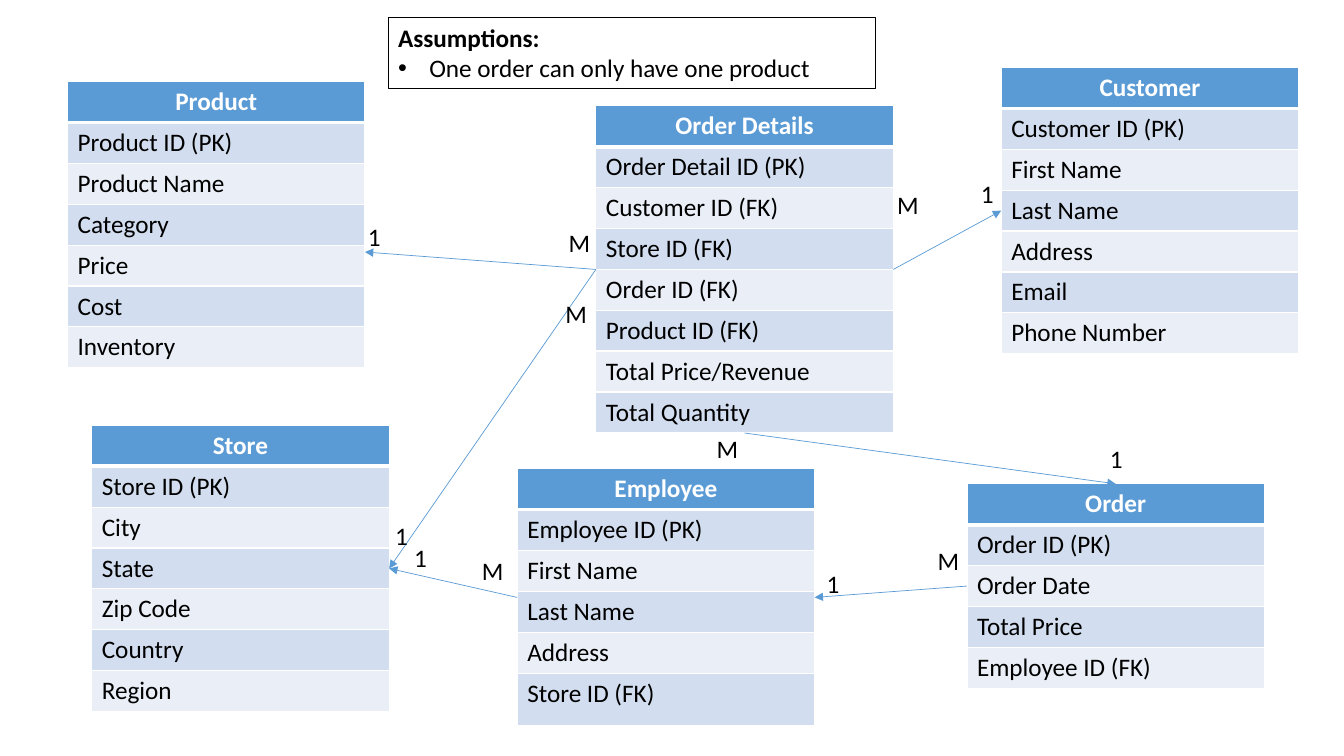
from lxml.etree import SubElement
from pptx import Presentation
from pptx.dml.color import RGBColor
from pptx.enum.shapes import MSO_CONNECTOR, MSO_SHAPE
from pptx.enum.text import MSO_ANCHOR, MSO_AUTO_SIZE, PP_ALIGN
from pptx.oxml import parse_xml
from pptx.oxml.ns import nsdecls, qn
from pptx.util import Inches, Pt

# Content: entity -> (left, top, fields)
ENTITIES = {
    "Product": (0.67, 0.81, ["Product ID (PK)", "Product Name", "Category",
                             "Price", "Cost", "Inventory"]),
    "Customer": (9.93, 0.67, ["Customer ID (PK)", "First Name", "Last Name",
                              "Address", "Email", "Phone Number"]),
    "Employee": (5.13, 4.65, ["Employee ID (PK)", "First Name", "Last Name",
                              "Address", "Store ID (FK)"]),
    "Store": (0.91, 4.22, ["Store ID (PK)", "City", "State", "Zip Code",
                           "Country", "Region"]),
    "Order": (9.59, 4.8, ["Order ID (PK)", "Order Date", "Total Price",
                          "Employee ID (FK)"]),
    "Order Details": (5.91, 1.05, ["Order Detail ID (PK)", "Customer ID (FK)",
                                   "Store ID (FK)", "Order ID (FK)",
                                   "Product ID (FK)", "Total Price/Revenue",
                                   "Total Quantity"]),
}
EXTRA_LAST_ROW = {"Employee": 0.12}

# Many side, its edge, one side, its edge, places of the "M" and "1" labels
RELATIONS = [
    ("Order Details", "right", "Customer", "left", (8.8, 1.83), (9.63, 1.72)),
    ("Order Details", "bottom", "Order", "top", (7.01, 4.25), (10.91, 4.35)),
    ("Employee", "left", "Store", "right", (4.68, 5.46), (4.01, 5.33)),
    ("Order", "left", "Employee", "right", (9.2, 5.36), (8.1, 5.59)),
    ("Order Details", "left", "Store", "right", (5.51, 2.91), (3.82, 5.11)),
    ("Order Details", "left", "Product", "right", (5.54, 2.21), (3.55, 2.15)),
]
EDGES = {"left": (0, 0.5), "right": (1, 0.5), "top": (0.5, 0), "bottom": (0.5, 1)}
ANCHOR_SHIFT = {"Product": 0.27}

NOTE_TITLE = "Assumptions:"
NOTE_ITEMS = ["One order can only have one product"]

TABLE_WIDTH = 2.95
ROW_HEIGHT = 2.84 / 7
BLUE, WHITE, BLACK = "5B9BD5", "FFFFFF", "000000"
BANDS = ["D2DEEF", "EAEFF7"]


def color(value):
    return RGBColor.from_string(value)


def write(paragraph, text, font_color=BLACK, bold=False):
    run = paragraph.add_run()
    run.text = text
    run.font.color.rgb = color(font_color)
    for name, value in {"name": "Calibri", "size": Pt(18), "bold": bold}.items():
        setattr(run.font, name, value)


def set_borders(cell, widths):
    """Give the cell white borders, placed ahead of its fill."""
    properties = cell._tc.get_or_add_tcPr()
    for index, (side, width) in enumerate(widths.items()):
        properties.insert(index, parse_xml(
            f'<a:ln{side} {nsdecls("a")} w="{Pt(width)}"><a:solidFill>'
            f'<a:srgbClr val="{WHITE}"/></a:solidFill></a:ln{side}>'))


def table_height(name):
    rows = len(ENTITIES[name][2]) + 1
    return rows * ROW_HEIGHT + EXTRA_LAST_ROW.get(name, 0)


def add_entity(slide, name):
    left, top, fields = ENTITIES[name]
    table = slide.shapes.add_table(
        len(fields) + 1, 1, Inches(left), Inches(top),
        Inches(TABLE_WIDTH), Inches(table_height(name))).table
    for index, text in enumerate([name] + fields):
        header = index == 0
        table.rows[index].height = Inches(ROW_HEIGHT)
        cell = table.cell(index, 0)
        cell.fill.solid()
        cell.fill.fore_color.rgb = color(BLUE if header else BANDS[(index - 1) % 2])
        set_borders(cell, {"L": 1, "R": 1, "T": 3 if index == 1 else 1,
                           "B": 3 if header else 1})
        paragraph = cell.text_frame.paragraphs[0]
        paragraph.alignment = PP_ALIGN.CENTER if header else PP_ALIGN.LEFT
        write(paragraph, text, WHITE if header else BLACK, header)
    table.rows[len(fields)].height = Inches(ROW_HEIGHT + EXTRA_LAST_ROW.get(name, 0))


def anchor(name, edge):
    left, top, _ = ENTITIES[name]
    across, down = EDGES[edge]
    return (Inches(left + across * TABLE_WIDTH),
            Inches(top + down * table_height(name) + ANCHOR_SHIFT.get(name, 0)))


def add_arrow(slide, start, end):
    connector = slide.shapes.add_connector(MSO_CONNECTOR.STRAIGHT, *start, *end)
    connector.line.color.rgb = color(BLUE)
    connector.line.width = Pt(0.5)
    SubElement(connector.line._get_or_add_ln(), qn("a:tailEnd"), type="triangle")
    SubElement(connector._element.spPr, qn("a:effectLst"))


def add_label(slide, text, place):
    left, top = place
    box = slide.shapes.add_textbox(Inches(left), Inches(top), Inches(0.52), Inches(0.4))
    box.text_frame.word_wrap = True
    box.text_frame.auto_size = MSO_AUTO_SIZE.SHAPE_TO_FIT_TEXT
    write(box.text_frame.paragraphs[0], text)


def add_note(slide):
    shape = slide.shapes.add_shape(
        MSO_SHAPE.RECTANGLE, Inches(3.85), Inches(0.17), Inches(4.83), Inches(0.71))
    shape.shadow.inherit = False
    shape.fill.background()
    shape.line.color.rgb = color(BLACK)
    shape.line.width = Pt(0.75)
    frame = shape.text_frame
    for name, value in {"word_wrap": True, "vertical_anchor": MSO_ANCHOR.TOP,
                        "auto_size": MSO_AUTO_SIZE.SHAPE_TO_FIT_TEXT}.items():
        setattr(frame, name, value)
    title = frame.paragraphs[0]
    title.alignment = PP_ALIGN.LEFT
    write(title, NOTE_TITLE, bold=True)
    for item in NOTE_ITEMS:
        paragraph = frame.add_paragraph()
        paragraph.alignment = PP_ALIGN.LEFT
        properties = paragraph._p.get_or_add_pPr()
        properties.set("marL", str(Inches(0.31)))
        properties.set("indent", str(-Inches(0.31)))
        SubElement(properties, qn("a:buFont"), typeface="Arial")
        SubElement(properties, qn("a:buChar"), char="•")
        write(paragraph, item)


def main():
    presentation = Presentation()
    presentation.slide_width = Inches(13.33)
    presentation.slide_height = Inches(7.5)
    slide = presentation.slides.add_slide(presentation.slide_layouts[6])

    # Entity tables
    for name in ENTITIES:
        add_entity(slide, name)

    # Relations with their cardinalities
    for many, many_edge, one, one_edge, many_place, one_place in RELATIONS:
        add_arrow(slide, anchor(many, many_edge), anchor(one, one_edge))
        add_label(slide, "M", many_place)
        add_label(slide, "1", one_place)

    # Assumptions box
    add_note(slide)
    presentation.save("out.pptx")


if __name__ == "__main__":
    main()
